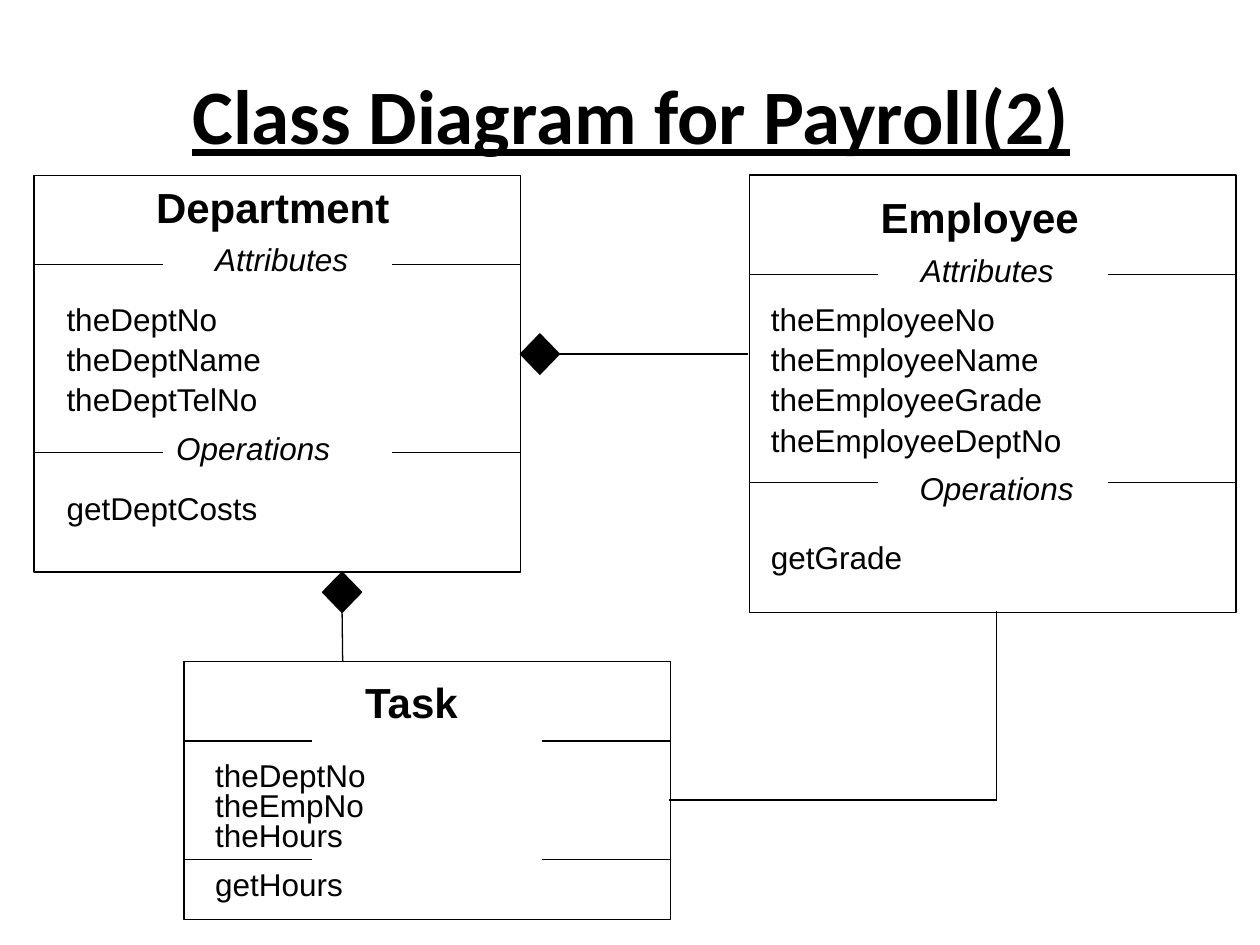
from dataclasses import dataclass
from lxml.etree import SubElement
from pptx import Presentation
from pptx.dml.color import RGBColor
from pptx.enum.shapes import MSO_CONNECTOR, MSO_SHAPE
from pptx.enum.text import MSO_ANCHOR, MSO_AUTO_SIZE, PP_ALIGN
from pptx.oxml.ns import qn
from pptx.util import Inches, Pt


@dataclass(frozen=True)
class Theme:
    ink: RGBColor = RGBColor(0, 0, 0)
    head: str = "Calibri"
    body: str = "Arial"
    title: int = 44
    name: int = 24
    text: int = 18
    thin: float = 0.75
    bold: float = 1


THEME = Theme()
WIDE = 3.86
STUB = 1.02


def add_text(slide, text, left, top, width, height=0.4, size=THEME.text,
             face=THEME.body, bold=False, slant=False):
    box = slide.shapes.add_textbox(
        Inches(left), Inches(top), Inches(width), Inches(height))
    frame = box.text_frame
    frame.word_wrap = True
    frame.auto_size = MSO_AUTO_SIZE.SHAPE_TO_FIT_TEXT
    run = frame.paragraphs[0].add_run()
    run.text = text
    font = run.font
    font.size = Pt(size)
    font.name = face
    font.bold = bold
    font.italic = slant
    font.color.rgb = THEME.ink
    return frame


def add_title(slide, text):
    frame = add_text(slide, text, 0.51, 0.28, 9, 1.25,
                     THEME.title, THEME.head, bold=True)
    frame.auto_size = MSO_AUTO_SIZE.NONE
    frame.vertical_anchor = MSO_ANCHOR.MIDDLE
    line = frame.paragraphs[0]
    line.alignment = PP_ALIGN.CENTER
    line.runs[0].font.underline = True


def add_line(slide, start, end, weight=THEME.thin):
    points = [Inches(n) for n in (*start, *end)]
    line = slide.shapes.add_connector(MSO_CONNECTOR.STRAIGHT, *points)
    line.line.color.rgb = THEME.ink
    line.line.width = Pt(weight)
    SubElement(line._element.spPr, qn("a:effectLst"))
    return line


def add_shape(slide, kind, left, top, width, height, solid=False):
    shape = slide.shapes.add_shape(
        kind, Inches(left), Inches(top), Inches(width), Inches(height))
    shape.shadow.inherit = False
    shape.line.color.rgb = THEME.ink
    shape.line.width = Pt(THEME.thin)
    if solid:
        shape.fill.solid()
        shape.fill.fore_color.rgb = THEME.ink
    else:
        shape.fill.background()
    return shape


def add_diamond(slide, left, top):
    return add_shape(slide, MSO_SHAPE.DIAMOND, left, top, 0.31, 0.32, True)


def add_rule(slide, left, top):
    for start in (left, left + WIDE - STUB):
        add_line(slide, (start, top), (start + STUB, top))


def add_class(slide, left, top, height, name, rules, labels, edge, rows, step, call):
    add_shape(slide, MSO_SHAPE.RECTANGLE, left, top, WIDE, height)
    for rule in rules:
        add_rule(slide, left, rule)
    text, x, y, width = name
    add_text(slide, text, x, y, width, 0.5, THEME.name, bold=True)
    for text, x, y in labels:
        add_text(slide, text, x, y, 1.73, slant=True)
    first, fields = rows
    for index, (text, width) in enumerate(fields):
        add_text(slide, text, edge, first + index * step, width)
    text, y = call
    add_text(slide, text, edge, y, 2.84)


def add_links(slide):
    east = add_diamond(slide, 4.13, 2.65)
    staff = add_line(slide, (4.13, 2.81), (5.94, 2.81), THEME.bold)
    staff.begin_connect(east, 1)
    south = add_diamond(slide, 2.56, 4.54)
    work = add_line(slide, (2.72, 4.86), (2.72, 5.25))
    work.begin_connect(south, 2)
    add_line(slide, (5.31, 6.35), (7.91, 6.35))
    add_line(slide, (7.91, 4.85), (7.91, 6.35))


def main():
    deck = Presentation()
    deck.slide_width = Inches(10)
    deck.slide_height = Inches(7.5)
    slide = deck.slides.add_slide(deck.slide_layouts[6])
    add_class(
        slide, 5.95, 1.39, 3.47, ("Employee", 6.89, 1.47, 2.44), (2.18, 3.83),
        [("Attributes", 7.21, 1.94), ("Operations", 7.2, 3.67)], 6.02,
        (2.33, [("theEmployeeNo", 2.13), ("theEmployeeName", 2.76),
                ("theEmployeeGrade", 2.6), ("theEmployeeDeptNo", 2.84)]),
        0.32, ("getGrade", 4.22))
    add_class(
        slide, 0.27, 1.39, 3.15, ("Department", 1.14, 1.39, 2.44), (2.1, 3.59),
        [("Attributes", 1.61, 1.86), ("Operations", 1.3, 3.36)], 0.43,
        (2.33, [("theDeptNo", 2.13), ("theDeptName", 2.13), ("theDeptTelNo", 2.13)]),
        0.32, ("getDeptCosts", 3.83))
    add_class(
        slide, 1.46, 5.25, 2.05, ("Task", 2.8, 5.32, 1.26), (5.88, 6.82), [], 1.61,
        (5.95, [("theDeptNo", 2.13), ("theEmpNo", 2.13), ("theHours", 2.13)]),
        0.24, ("getHours", 6.82))
    add_links(slide)
    add_title(slide, "Class Diagram for Payroll(2)")
    deck.save("out.pptx")


if __name__ == "__main__":
    main()
